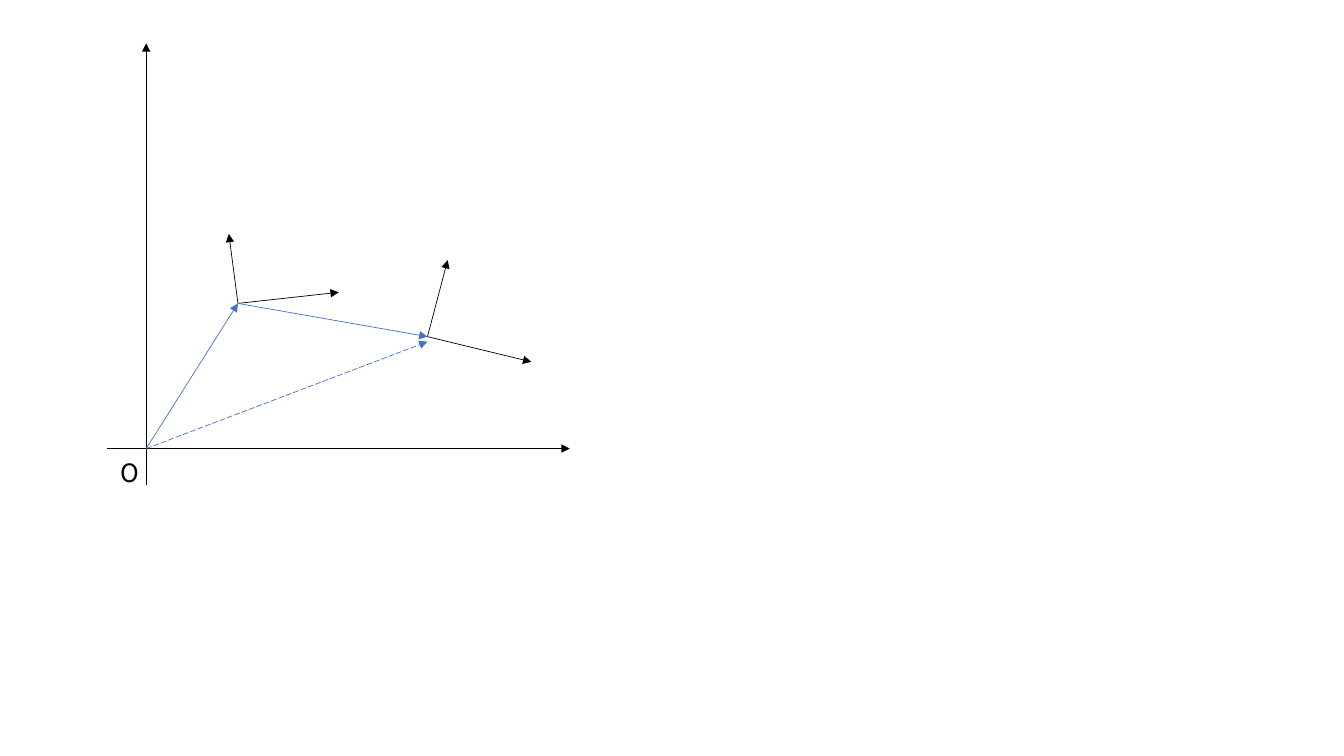
from dataclasses import dataclass

from lxml.etree import SubElement
from pptx import Presentation
from pptx.dml.color import RGBColor
from pptx.enum.dml import MSO_LINE_DASH_STYLE as Dash
from pptx.enum.shapes import MSO_CONNECTOR as Connector
from pptx.enum.text import MSO_AUTO_SIZE as AutoSize
from pptx.oxml.ns import qn
from pptx.slide import Slide
from pptx.util import Inches, Pt

Point = tuple[float, float]

BLACK = "000000"
BLUE = "4472C4"
FONT = "Noto Sans CJK SC"

ORIGIN: Point = (1.45, 4.45)
FIRST_FRAME: Point = (2.36, 3.01)
SECOND_FRAME: Point = (4.24, 3.34)


@dataclass(frozen=True)
class Arrow:
    start: Point
    end: Point
    color: str = BLACK
    dashed: bool = False


AXES = [
    Arrow((1.45, 4.81), (1.45, 0.43)),
    Arrow((1.06, 4.45), (5.65, 4.45)),
]
VECTORS = [
    Arrow(FIRST_FRAME, (2.27, 2.32)),
    Arrow(FIRST_FRAME, (3.36, 2.9)),
    Arrow(SECOND_FRAME, (4.44, 2.58)),
    Arrow(SECOND_FRAME, (5.27, 3.59)),
    Arrow(ORIGIN, FIRST_FRAME, BLUE),
    Arrow(FIRST_FRAME, SECOND_FRAME, BLUE),
    Arrow(ORIGIN, (4.24, 3.39), BLUE, dashed=True),
]


def rgb(color: str) -> RGBColor:
    return RGBColor.from_string(color)


def draw_arrow(slide: Slide, arrow: Arrow) -> None:
    ends = [Inches(value) for value in (*arrow.start, *arrow.end)]
    connector = slide.shapes.add_connector(Connector.STRAIGHT, *ends)
    line = connector.line
    line.color.rgb = rgb(arrow.color)
    line.width = Pt(0.5)
    if arrow.dashed:
        line.dash_style = Dash.LONG_DASH
    properties = connector.element.spPr
    SubElement(properties.find(qn("a:ln")), qn("a:tailEnd"), type="triangle")
    SubElement(properties, qn("a:effectLst"))


def draw_origin_label(slide: Slide) -> None:
    shape = slide.shapes.add_textbox(
        Inches(1.1), Inches(4.49), Inches(0.39), Inches(0.4)
    )
    text_frame = shape.text_frame
    text_frame.word_wrap = False
    text_frame.auto_size = AutoSize.SHAPE_TO_FIT_TEXT
    text_frame.text = "O"
    font = text_frame.paragraphs[0].runs[0].font
    font.name = FONT
    font.size = Pt(18)
    font.color.rgb = rgb(BLACK)


def main() -> None:
    presentation = Presentation()
    presentation.slide_width = Inches(13.33)
    presentation.slide_height = Inches(7.5)
    slide = presentation.slides.add_slide(presentation.slide_layouts[6])
    for axis in AXES:
        draw_arrow(slide, axis)
    draw_origin_label(slide)
    for vector in VECTORS:
        draw_arrow(slide, vector)
    presentation.save("out.pptx")


if __name__ == "__main__":
    main()
